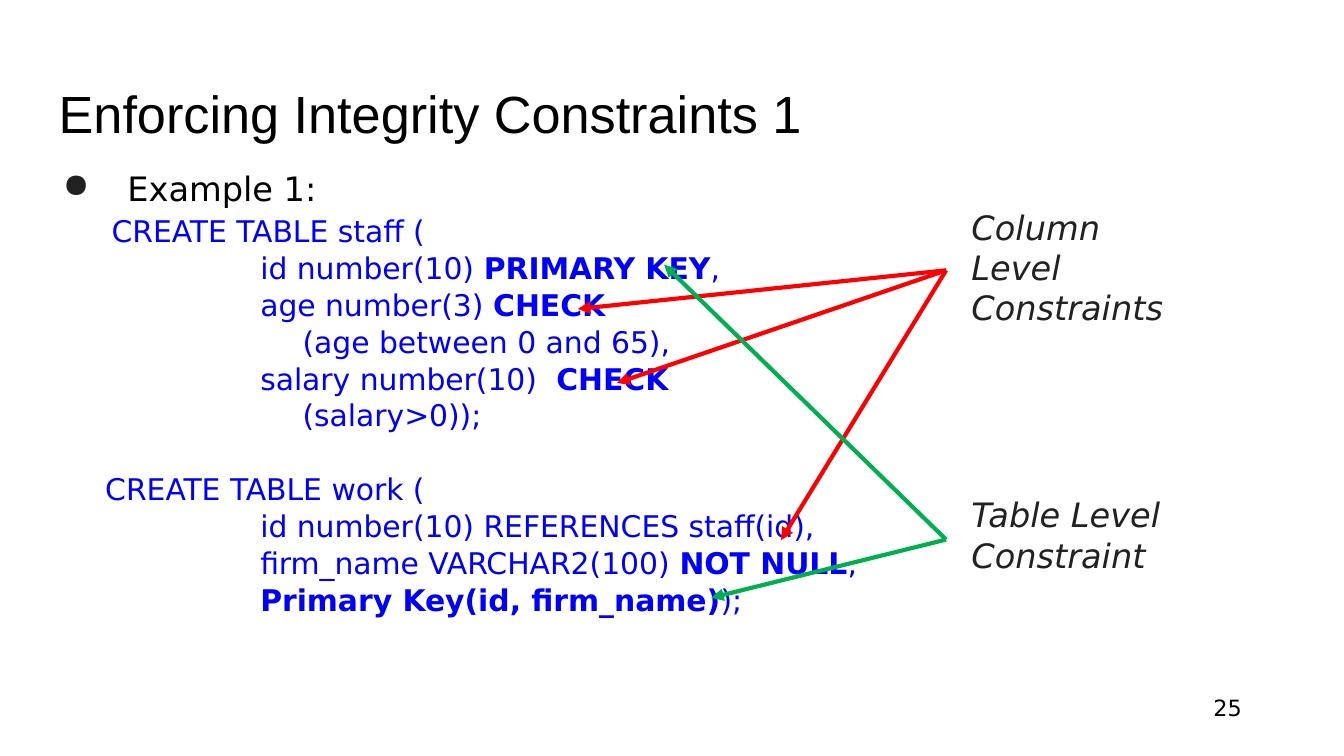
from lxml import etree
from pptx import Presentation
from pptx.dml.color import RGBColor
from pptx.enum import shapes, text
from pptx.oxml.ns import qn
from pptx.util import Cm, Pt

BLACK = RGBColor(0, 0, 0)
DARK = RGBColor(0x21, 0x21, 0x21)
BLUE = RGBColor(0, 0, 0xFF)
RED = RGBColor(0xFF, 0, 0)
GREEN = RGBColor(0, 0xB0, 0x50)
SANS = "DejaVu Sans"

deck = Presentation()
deck.slide_width, deck.slide_height = Cm(25.4), Cm(14.29)
slide = deck.slides.add_slide(deck.slide_layouts[6])


def add_box(x, y, w, h, words=""):
    box = slide.shapes.add_textbox(Cm(x), Cm(y), Cm(w), Cm(h))
    frame = box.text_frame
    frame.word_wrap = True
    frame.text = words
    return frame


def style(run, size, color, name=SANS):
    font = run.font
    font.size, font.name = Pt(size), name
    font.color.rgb = color
    return font


# Title
title = add_box(0.86, 1.24, 23.67, 1.6, "Enforcing Integrity Constraints 1")
title.vertical_anchor = text.MSO_ANCHOR.BOTTOM
style(title.paragraphs[0].runs[0], 28, BLACK, "Arial")

# Bulleted lead line
body = add_box(0.86, 3.2, 23.67, 9.5, "Example 1:")
lead = body.paragraphs[0]
lead.line_spacing = 0.8
style(lead.runs[0], 18, BLACK)
props = lead._p.get_or_add_pPr()
props.set("marL", str(Cm(1.3)))
props.set("indent", str(-Cm(1.22)))
tint = etree.SubElement(props, qn("a:buClr"))
etree.SubElement(tint, qn("a:srgbClr")).set("val", str(DARK))
etree.SubElement(props, qn("a:buChar")).set("char", "●")

# SQL code: indent in cm, space before in points, then plain and bold parts in turn
COL, SUB = 3.81, 4.61
code = [
    (1, 6.2, ["CREATE TABLE staff ("]),
    (COL, 4.4, ["id number(10) ", "PRIMARY KEY", ","]),
    (COL, 4.4, ["age number(3) ", "CHECK"]),
    (SUB, 4.4, ["(age between 0 and 65),"]),
    (COL, 4.4, ["salary number(10)  ", "CHECK"]),
    (SUB, 4.4, ["(salary>0));"]),
    (0.88, 24.2, ["CREATE TABLE work ("]),
    (COL, 4.4, ["id number(10) REFERENCES staff(id),"]),
    (COL, 4.4, ["firm_name VARCHAR2(100) ", "NOT NULL", ","]),
    (COL, 4.4, ["", "Primary Key(id, firm_name)", ");"]),
]
for left, gap, parts in code:
    line = body.add_paragraph()
    line.line_spacing, line.space_before = 0.8, Pt(gap)
    line._p.get_or_add_pPr().set("marL", str(Cm(left)))
    for i, part in enumerate(parts):
        if part:
            run = line.add_run()
            run.text = part
            style(run, 16, BLUE).bold = i % 2 == 1

# Side labels
for y, h, words in [(9.22, 1.35, "Table Level\nConstraint"),
                    (3.78, 1.9, "Column Level Constraints")]:
    label = add_box(18.11, y, 4.45, h, words)
    for line in label.paragraphs:
        style(line.runs[0], 18, DARK).italic = True

# Arrows from each label to its constraints
fans = [
    (RED, 5.11, [(10.92, 5.84), (11.66, 7.24), (14.76, 10.21)]),
    (GREEN, 10.2, [(13.44, 11.3), (12.55, 5)]),
]
for color, start, ends in fans:
    for x, y in ends:
        arrow = slide.shapes.add_connector(
            shapes.MSO_CONNECTOR.STRAIGHT, Cm(17.88), Cm(start), Cm(x), Cm(y))
        arrow.line.color.rgb = color
        arrow.line.width = Pt(2.25)
        tip = etree.SubElement(arrow.line._get_or_add_ln(), qn("a:tailEnd"))
        tip.set("type", "triangle")
        etree.SubElement(arrow._element.spPr, qn("a:effectLst"))

# Page number
page = add_box(18.21, 13, 5.51, 0.99, "25").paragraphs[0]
page.alignment = text.PP_ALIGN.RIGHT
style(page.runs[0], 12, BLACK)

deck.save("out.pptx")
